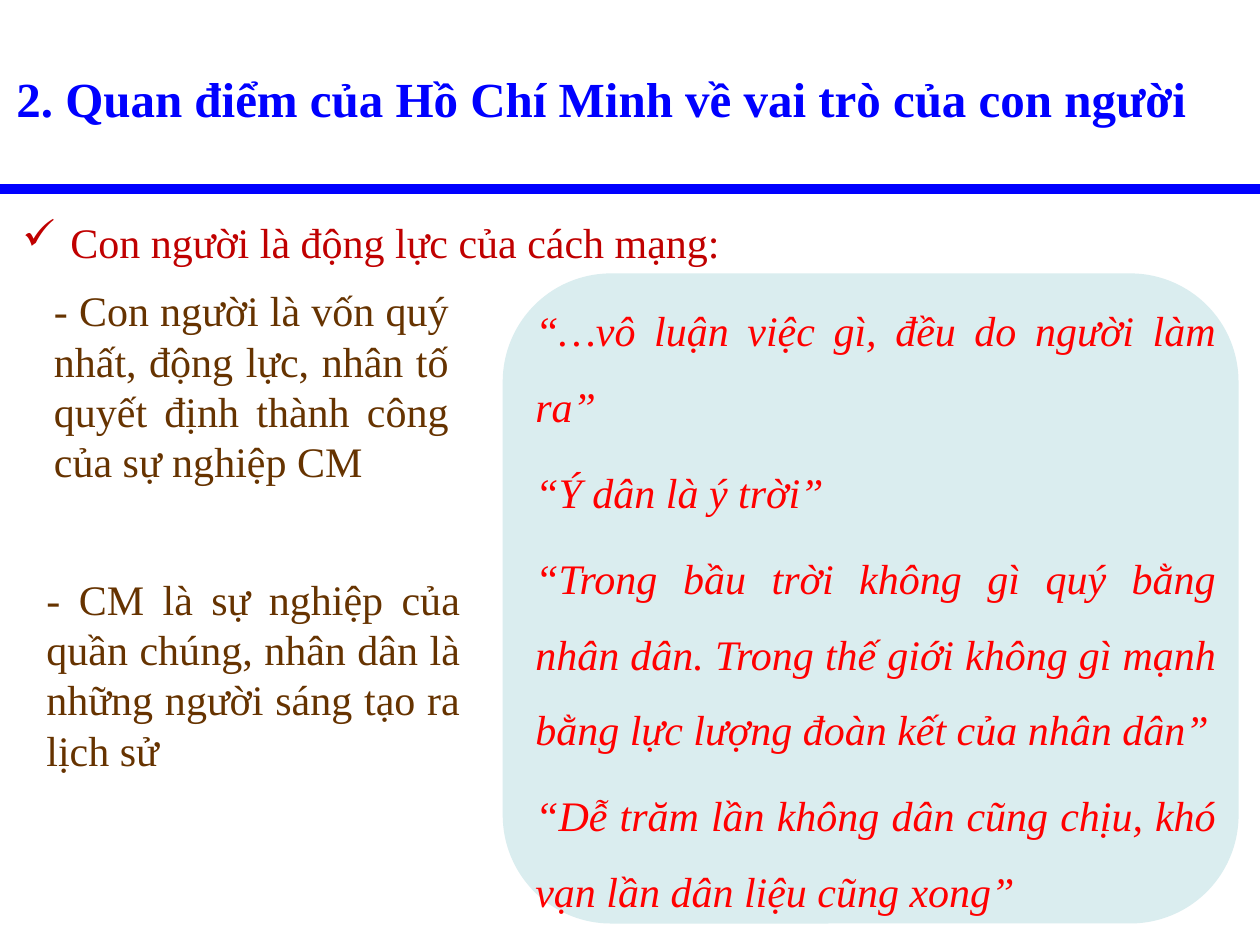
"""Build the slide on Ho Chi Minh's view of the role of people."""
from dataclasses import dataclass

from lxml import etree
from pptx import Presentation
from pptx.dml.color import RGBColor
from pptx.enum.shapes import MSO_CONNECTOR, MSO_SHAPE
from pptx.enum.text import MSO_ANCHOR, MSO_AUTO_SIZE, PP_ALIGN
from pptx.oxml.ns import qn
from pptx.util import Inches, Pt

STRAIGHT = MSO_CONNECTOR.STRAIGHT
ROUNDED = MSO_SHAPE.ROUNDED_RECTANGLE
TOP = MSO_ANCHOR.TOP
NO_FIT = MSO_AUTO_SIZE.NONE
FIT_SHAPE = MSO_AUTO_SIZE.SHAPE_TO_FIT_TEXT
JUSTIFY = PP_ALIGN.JUSTIFY


@dataclass(frozen=True)
class Theme:
    font: str = "Times New Roman"
    title_size: int = 28
    body_size: int = 24
    rule_width: int = 6
    blue: str = "0000FF"
    dark_red: str = "C00000"
    brown: str = "663300"
    red: str = "FF0000"
    panel: str = "DAEDEF"


THEME = Theme()


@dataclass(frozen=True)
class TextBlock:
    box: tuple[float, float, float, float]
    lines: tuple[str, ...]
    color: str
    size: int = THEME.body_size
    bold: bool = False
    italic: bool = False
    spacing: float = 1.0
    after: int = 0
    bullet: str = ""


TITLE = TextBlock(
    (0.03, 0.26, 9.58, 0.8),
    ("2. Quan điểm của Hồ Chí Minh về vai trò của con người",),
    THEME.blue, size=THEME.title_size, bold=True, spacing=1.5,
)
BLOCKS = (
    TextBlock((0.08, 1.67, 9.17, 0.5),
              ("Con người là động lực của cách mạng:",),
              THEME.dark_red, bullet="✓"),
    TextBlock((0.33, 2.21, 3.33, 1.7),
              ("- Con người là vốn quý nhất, động lực, nhân tố quyết định "
               "thành công của sự nghiệp CM",),
              THEME.brown),
    TextBlock((0.27, 4.5, 3.48, 1.7),
              ("- CM là sự nghiệp của quần chúng, nhân dân là những người "
               "sáng tạo ra lịch sử",),
              THEME.brown),
    TextBlock((4.15, 2.17, 5.6, 5.15),
              ("“…vô luận việc gì, đều do người làm ra”",
               "“Ý dân là ý trời”",
               "“Trong bầu trời không gì quý bằng nhân dân. Trong thế giới "
               "không gì mạnh bằng lực lượng đoàn kết của nhân dân”",
               "“Dễ trăm lần không dân cũng chịu, khó vạn lần dân liệu cũng xong”"),
              THEME.red, italic=True, spacing=1.5, after=6),
)


def add_bullet(p, char: str, color: str) -> None:
    """Give a paragraph a hanging coloured bullet."""
    pPr = p._p.get_or_add_pPr()
    pPr.set("marL", str(Inches(0.38)))
    pPr.set("indent", str(-Inches(0.38)))
    clr = etree.SubElement(pPr, qn("a:buClr"))
    etree.SubElement(clr, qn("a:srgbClr"), val=color)
    etree.SubElement(pPr, qn("a:buChar"), char=char)


def write_text(sp, block: TextBlock, fit: MSO_AUTO_SIZE) -> None:
    """Place a text shape and fill it with formatted paragraphs."""
    sp.left, sp.top, sp.width, sp.height = map(Inches, block.box)
    tf = sp.text_frame
    tf.text = "\n".join(block.lines)
    tf.word_wrap = True
    tf.auto_size = fit
    tf.vertical_anchor = TOP
    for p in tf.paragraphs:
        if block.bullet:
            add_bullet(p, block.bullet, block.color)
        p.alignment = JUSTIFY
        p.line_spacing = block.spacing
        p.space_after = Pt(block.after)
        for r in p.runs:
            r.font.name = THEME.font
            r.font.size = Pt(block.size)
            r.font.bold = block.bold
            r.font.italic = block.italic
            r.font.color.rgb = RGBColor.from_string(block.color)


def add_rule(s, y: float, width: float) -> None:
    """Draw the thick rule under the title."""
    rule = s.shapes.add_connector(STRAIGHT, 0, Inches(y), Inches(width), Inches(y))
    rule.line.color.rgb = RGBColor.from_string(THEME.blue)
    rule.line.width = Pt(THEME.rule_width)
    etree.SubElement(rule._element.spPr, qn("a:effectLst"))


def add_panel(s, box: tuple[float, float, float, float]) -> None:
    """Draw the rounded panel behind the quotations."""
    sp = s.shapes.add_shape(ROUNDED, *map(Inches, box))
    sp.shadow.inherit = False
    sp.fill.solid()
    sp.fill.fore_color.rgb = RGBColor.from_string(THEME.panel)
    sp.line.fill.background()


def main() -> None:
    """Build and save the presentation."""
    prs = Presentation()
    prs.slide_width, prs.slide_height = Inches(10), Inches(7.5)
    s = prs.slides.add_slide(prs.slide_layouts[5])
    write_text(s.shapes.title, TITLE, NO_FIT)
    add_rule(s, 1.5, 10)
    add_panel(s, (3.99, 2.17, 5.84, 5.16))
    for block in BLOCKS:
        sp = s.shapes.add_textbox(*map(Inches, block.box))
        write_text(sp, block, FIT_SHAPE)
    prs.save("out.pptx")


if __name__ == "__main__":
    main()
